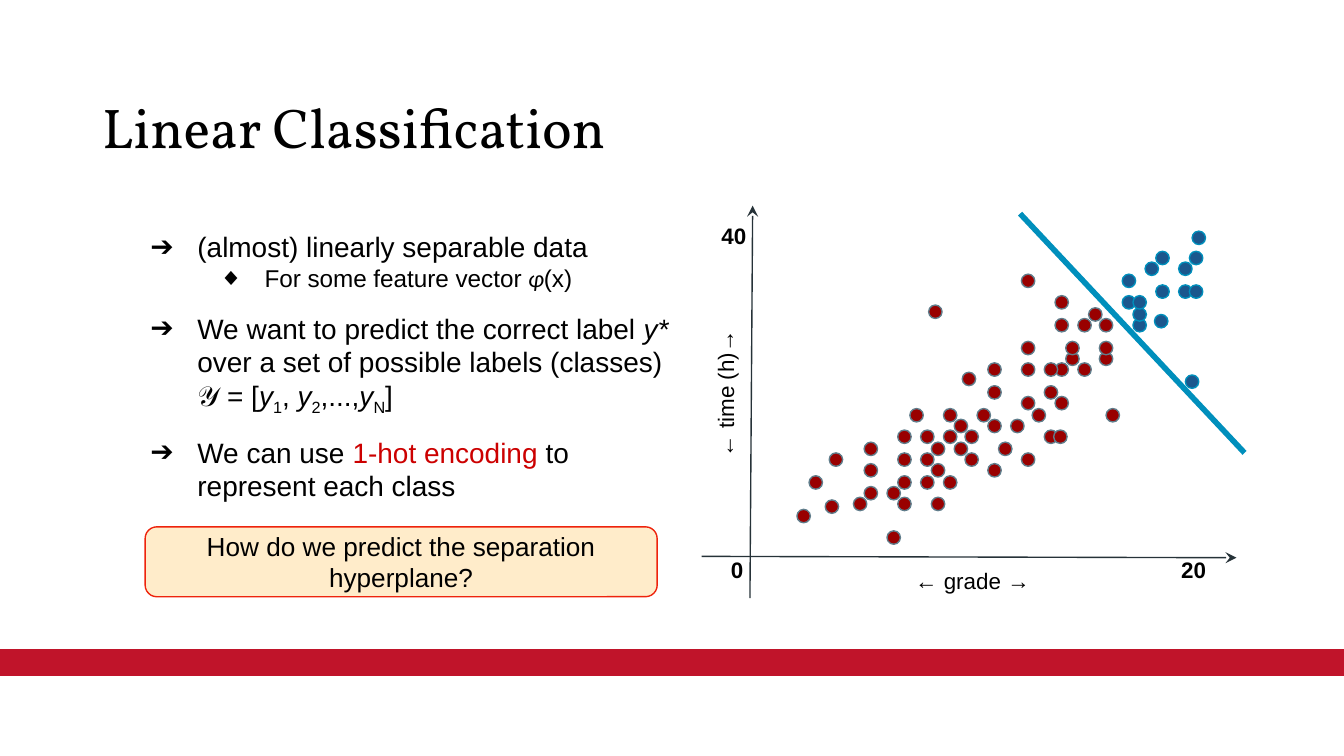
"""Build the Linear Classification slide."""
from lxml.etree import SubElement
from pptx import Presentation
from pptx.dml.color import RGBColor
from pptx.enum.shapes import MSO_CONNECTOR, MSO_SHAPE
from pptx.enum.text import MSO_ANCHOR, PP_ALIGN
from pptx.oxml.ns import qn
from pptx.util import Inches, Pt


def add_span(para, text, size=12, font="Arial", color="000000", bold=False, italic=False, subscript=False):
    span = para.add_run()
    span.text = text
    span.font.size = Pt(size)
    span.font.name = font
    span.font.color.rgb = RGBColor.from_string(color)
    span.font.bold = bold
    span.font.italic = italic
    if subscript:
        span.font._element.set("baseline", "-25000")


def add_figure(kind, left, top, width, height, fill, line=None):
    figure = page.shapes.add_shape(kind, Inches(left), Inches(top), Inches(width), Inches(height))
    figure.shadow.inherit = False
    figure.fill.solid()
    figure.fill.fore_color.rgb = RGBColor.from_string(fill)
    if line:
        figure.line.color.rgb = RGBColor.from_string(line)
        figure.line.width = Pt(0.75)
    else:
        figure.line.fill.background()
    return figure


deck = Presentation()
deck.slide_width = Inches(10)
deck.slide_height = Inches(10 * 9 / 16)
page = deck.slides.add_slide(deck.slide_layouts[6])

add_figure(MSO_SHAPE.RECTANGLE, 0, 4.83, 10, 0.2, "C0142A")

title = page.shapes.add_textbox(Inches(0.69), Inches(0.64), Inches(8.62), Inches(0.66)).text_frame
title.word_wrap = True
title.vertical_anchor = MSO_ANCHOR.MIDDLE
title.margin_left = title.margin_right = Inches(0.07)
title.margin_top = title.margin_bottom = Inches(0.04)
title.paragraphs[0].line_spacing = 0.9
add_span(title.paragraphs[0], "Linear Classification", size=30, font="Vollkorn")

red_rows = {
    3.95: [6.6],
    3.79: [5.93],
    3.72: [6.14],
    3.7: [6.35, 6.68, 6.93],
    3.62: [6.43, 6.6],
    3.54: [6.02, 6.68, 6.85, 7.02],
    3.45: [6.43, 6.93, 7.35],
    3.37: [6.17, 6.68, 6.85, 7.18, 7.6],
    3.29: [6.43, 6.93, 7.1, 7.43],
    3.2: [6.68, 6.85, 7.02, 7.18, 7.77, 7.84],
    3.12: [7.1, 7.35, 7.52],
    3.04: [6.77, 7.02, 7.27, 7.68, 8.23],
    2.95: [7.6, 7.85],
    2.87: [7.35, 7.77],
    2.77: [7.16],
    2.7: [8.02, 7.85, 7.77, 7.6, 7.35],
    2.62: [7.93, 8.18],
    2.54: [7.6, 7.93, 8.18],
    2.37: [7.85, 8.02, 8.18],
    2.29: [8.1],
    2.27: [6.91],
    2.2: [7.85],
    2.04: [7.6],
}
blue_rows = {
    2.79: [8.82],
    2.37: [8.43],
    2.34: [8.59],
    2.29: [8.43],
    2.2: [8.35, 8.43],
    2.12: [8.6, 8.77, 8.85],
    2.04: [8.35],
    1.95: [8.52, 8.77],
    1.87: [8.6, 8.85],
    1.72: [8.87],
}
for rows, fill, line in [(red_rows, "990000", "607D8B"), (blue_rows, "1B578D", "008FBC")]:
    for top, lefts in rows.items():
        for left in lefts:
            add_figure(MSO_SHAPE.OVAL, left, top, 0.1, 0.1, fill, line)

for ends, color, width, arrow in [
    ((9.2, 4.15, 5.22, 4.14), "263238", 0.75, True),
    ((5.6, 1.53, 5.58, 4.45), "263238", 0.75, True),
    ((7.59, 1.59, 9.26, 3.37), "008FBC", 3, False),
]:
    connector = page.shapes.add_connector(MSO_CONNECTOR.STRAIGHT, *[Inches(value) for value in ends])
    connector.line.color.rgb = RGBColor.from_string(color)
    connector.line.width = Pt(width)
    if arrow:
        SubElement(connector.line._get_or_add_ln(), qn("a:headEnd"), type="stealth")
    SubElement(connector._element.spPr, qn("a:effectLst"))

for left, top, width, rotation, align, spans in [
    (6.38, 4.12, 1.71, 0, PP_ALIGN.CENTER, [("← ", True), ("grade ", False), ("→", True)]),
    (5.34, 4.04, 0.29, 0, PP_ALIGN.LEFT, [("0", True)]),
    (8.69, 4.04, 0.43, 0, PP_ALIGN.LEFT, [("20", True)]),
    (4.54, 2.73, 1.71, 270, PP_ALIGN.CENTER, [("← ", True), ("time (h)", False), ("→", True)]),
    (5.27, 1.55, 0.43, 0, PP_ALIGN.LEFT, [("40", True)]),
]:
    box = page.shapes.add_textbox(Inches(left), Inches(top), Inches(width), Inches(0.4))
    box.rotation = rotation
    label = box.text_frame
    label.word_wrap = True
    label.margin_left = label.margin_right = label.margin_top = label.margin_bottom = Inches(0.1)
    label.paragraphs[0].alignment = align
    for text, bold in spans:
        add_span(label.paragraphs[0], text, bold=bold)

italic = {"italic": True}
subscript = {"subscript": True}
points = [
    (0, 0.5, -0.35, "➔", 0, 15, [("(almost) linearly separable data", {})]),
    (1, 1, -0.34, "◆", 0, 13, [
        ("For some feature vector ", {}), ("φ", {"font": "Calibri", "italic": True}), ("(x)", {}),
    ]),
    (0, 0.5, -0.35, "➔", 10, 15, [
        ("We want to predict the correct label ", {}), ("y* ", italic),
        ("over a set of possible labels (classes)", {}),
    ]),
    (0, 0.5, 0, None, 0, 15, [
        ("𝒴", {"font": "Roboto"}), (" = [", {}), ("y", italic), ("1", subscript), (", ", {}),
        ("y", italic), ("2", subscript), (",...,", {}), ("y", italic), ("N", subscript), ("]", {}),
    ]),
    (0, 0.5, -0.35, "➔", 10, 15, [
        ("We can use ", {}), ("1-hot encoding", {"color": "CC0000"}), (" to represent each class", {}),
    ]),
]
body = page.shapes.add_textbox(Inches(0.87), Inches(1.61), Inches(4.32), Inches(2.63)).text_frame
body.word_wrap = True
body.margin_left = body.margin_right = body.margin_top = body.margin_bottom = Inches(0.1)
for index, (level, margin, indent, bullet, space, size, spans) in enumerate(points):
    para = body.add_paragraph() if index else body.paragraphs[0]
    para.level = level
    properties = para._p.get_or_add_pPr()
    properties.set("marL", str(Inches(margin)))
    properties.set("indent", str(Inches(indent)))
    if bullet:
        SubElement(SubElement(properties, qn("a:buClr")), qn("a:srgbClr"), val="000000")
        SubElement(properties, qn("a:buFont"), typeface="Arial")
        SubElement(properties, qn("a:buChar"), char=bullet)
    if space:
        para.space_before = Pt(space)
    for text, style in spans:
        add_span(para, text, size=size, **style)

callout = add_figure(MSO_SHAPE.ROUNDED_RECTANGLE, 1.08, 3.92, 3.81, 0.52, "FFECCA", "EE230C")
question = callout.text_frame
question.word_wrap = True
question.vertical_anchor = MSO_ANCHOR.MIDDLE
question.margin_left = question.margin_right = question.margin_top = question.margin_bottom = Inches(0.1)
question.paragraphs[0].alignment = PP_ALIGN.CENTER
add_span(question.paragraphs[0], "How do we predict the separation hyperplane?", size=14)

deck.save("out.pptx")
